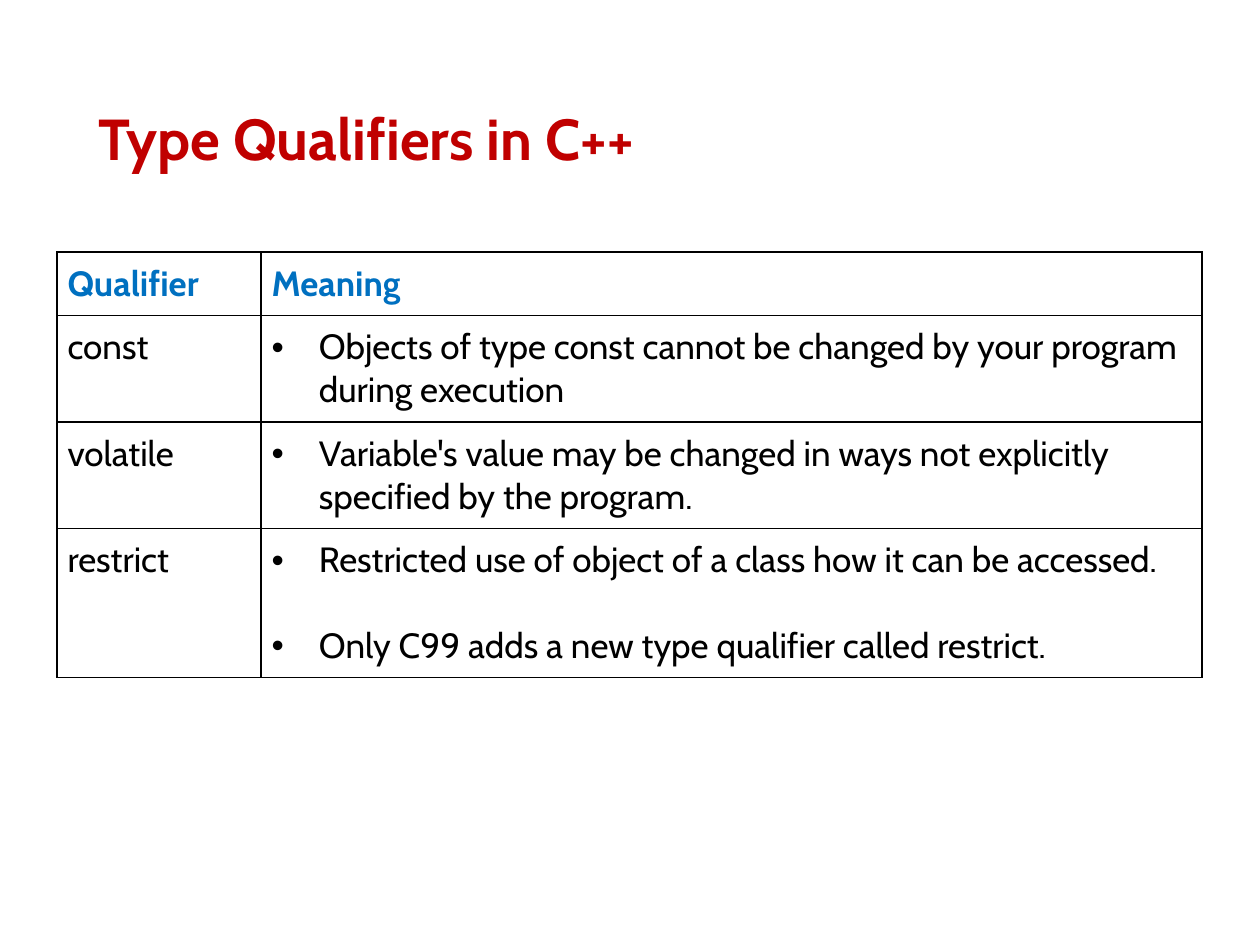
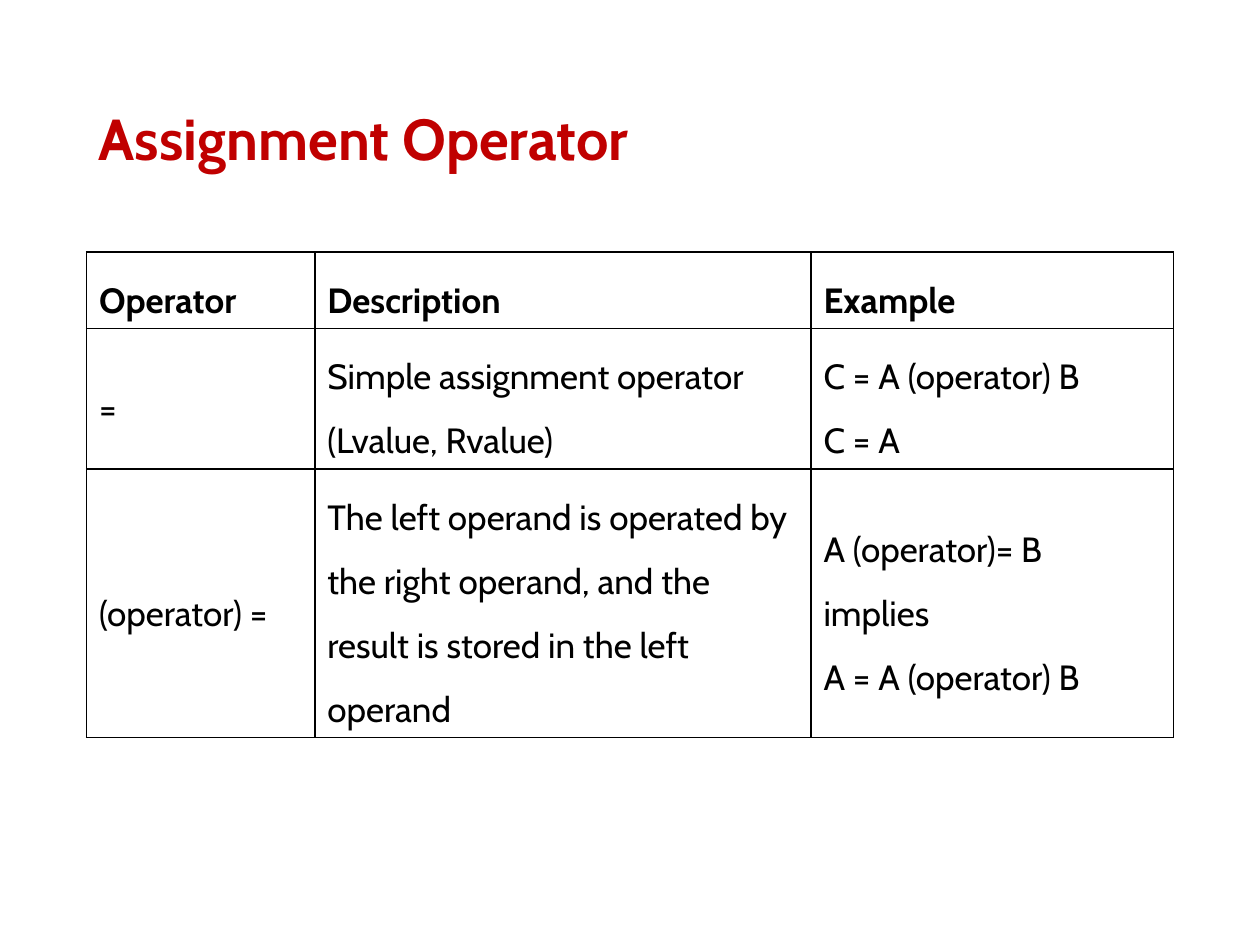
from lxml.etree import SubElement
from pptx import Presentation
from pptx.dml.color import RGBColor
from pptx.enum.text import MSO_ANCHOR as Anchor
from pptx.oxml import parse_xml
from pptx.oxml.ns import nsdecls, qn
from pptx.util import Pt

FONT = "Cabin"
RED = RGBColor(0xC0, 0x00, 0x00)
BLUE = RGBColor(0x00, 0x70, 0xC0)
BLACK = RGBColor(0x00, 0x00, 0x00)
BODY_SIZE = 20
TABLE_TOP = 144
BULLET_INDENT = 27
BULLET_GAP = 24.4

QUALIFIERS = [
    ["Qualifier", "Meaning"],
    ["const", "Objects of type const cannot be changed by your program during execution"],
    ["volatile", "Variable's value may be changed in ways not explicitly specified by the program."],
    ["restrict", "Restricted use of object of a class how it can be accessed.\n"
                 "Only C99 adds a new type qualifier called restrict."],
]
OPERATORS = [
    ["Operator", "Description", "Example"],
    ["=", "Simple assignment operator\n(Lvalue, Rvalue)", "C = A (operator) B\nC = A"],
    ["(operator) =",
     "The left operand is operated by the right operand, and the result is stored in the left operand",
     "A (operator)= B\nimplies\nA = A (operator) B"],
]


def style_font(paragraph, size, color, bold):
    """Set the deck font on a whole paragraph."""
    font = paragraph.font
    font.name, font.size, font.bold = FONT, Pt(size), bold
    font.color.rgb = color


def add_bullet(paragraph):
    """Give a paragraph a hanging round bullet."""
    properties = paragraph._p.get_or_add_pPr()
    properties.set("marL", str(Pt(BULLET_INDENT)))
    properties.set("indent", str(-Pt(BULLET_INDENT)))
    SubElement(properties, qn("a:buFont"), typeface="Arial")
    SubElement(properties, qn("a:buChar"), char="•")


def outline_cell(cell):
    """Clear the fill of a cell and draw a thin black line on every side."""
    cell.fill.background()
    properties = cell._tc.get_or_add_tcPr()
    for place, side in enumerate(("lnL", "lnR", "lnT", "lnB")):
        properties.insert(place, parse_xml(
            f'<a:{side} {nsdecls("a")} w="{Pt(1)}"><a:solidFill>'
            f'<a:srgbClr val="{BLACK}"/></a:solidFill></a:{side}>'))


def add_titled_slide(deck, title):
    """Add a blank slide with the red title."""
    slide = deck.slides.add_slide(deck.slide_layouts[6])
    frame = slide.shapes.add_textbox(Pt(49.5), Pt(28.75), Pt(621), Pt(104.4)).text_frame
    frame.word_wrap = True
    frame.vertical_anchor = Anchor.MIDDLE
    heading = frame.paragraphs[0]
    heading.text = title
    heading.line_spacing = 0.9
    style_font(heading, 33, RED, True)
    return slide


def add_grid(slide, left, widths, heights, rows, header_color, anchor=Anchor.TOP,
             inset=None, line_spacing=None, bulleted_column=None):
    """Add an outlined table with a bold header row."""
    grid = slide.shapes.add_table(len(rows), len(widths), Pt(left), Pt(TABLE_TOP),
                                  Pt(sum(widths)), Pt(sum(heights))).table
    grid.first_row = grid.horz_banding = False
    for column, width in zip(grid.columns, widths):
        column.width = Pt(width)
    for row_index, (row, height) in enumerate(zip(grid.rows, heights)):
        row.height = Pt(height)
        is_header = row_index == 0
        for column_index, cell in enumerate(row.cells):
            cell.text = rows[row_index][column_index]
            cell.vertical_anchor = anchor
            if inset is not None:
                cell.margin_left = cell.margin_right = Pt(inset)
                cell.margin_top = cell.margin_bottom = Pt(inset)
            outline_cell(cell)
            bulleted = column_index == bulleted_column and not is_header
            for line_index, line in enumerate(cell.text_frame.paragraphs):
                if line_spacing:
                    line.line_spacing = line_spacing
                if bulleted:
                    add_bullet(line)
                    if line_index:
                        line.space_before = Pt(BULLET_GAP)
                style_font(line, BODY_SIZE, header_color if is_header else BLACK, is_header)


def main():
    """Build both slides and save the deck."""
    deck = Presentation()
    deck.slide_width, deck.slide_height = Pt(720), Pt(540)

    qualifiers = add_titled_slide(deck, "Type Qualifiers in C++")
    add_grid(qualifiers, 32.6, [116.6, 537.8], [36.4, 60.8, 60.8, 85.2], QUALIFIERS, BLUE,
             inset=6, bulleted_column=1)

    operators = add_titled_slide(deck, "Assignment Operator")
    add_grid(operators, 49.5, [130.4, 283.5, 207.1], [43.6, 80.4, 153.4], OPERATORS, BLACK,
             anchor=Anchor.MIDDLE, line_spacing=1.5)

    deck.save("out.pptx")


if __name__ == "__main__":
    main()
